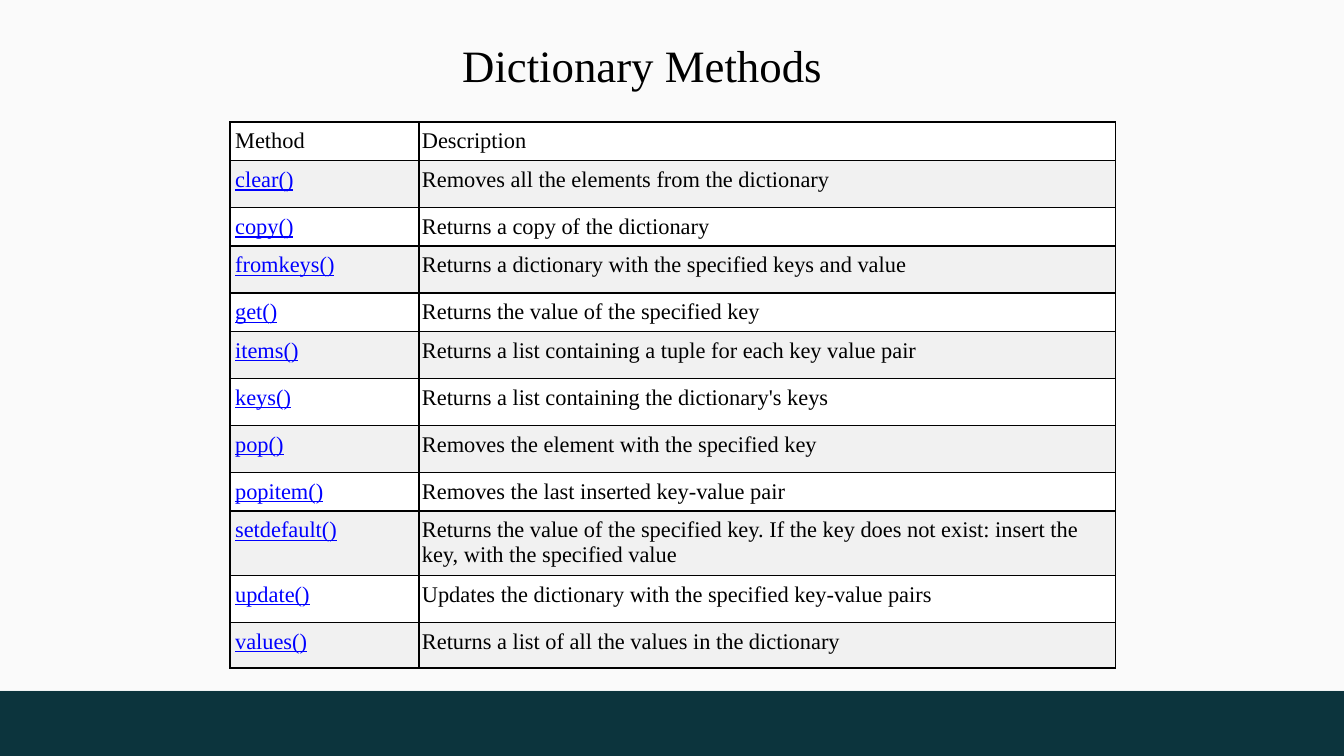
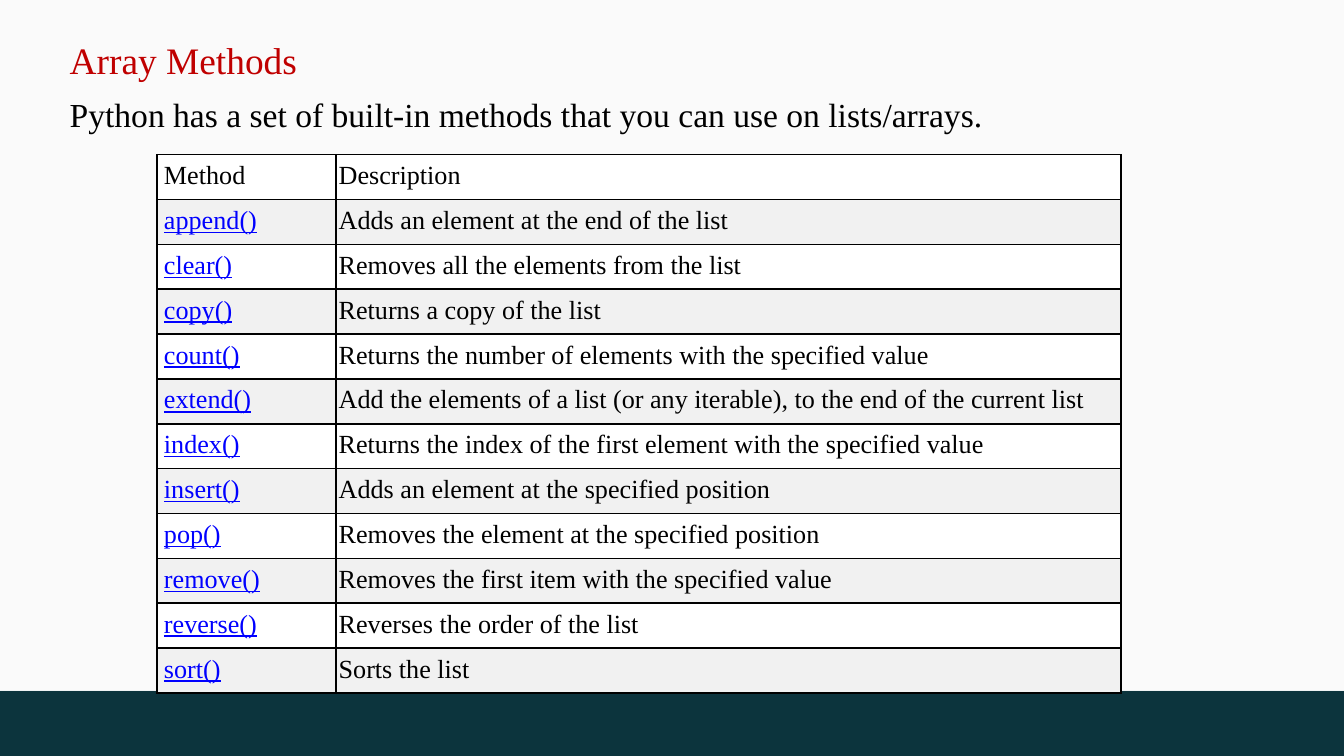
from lxml import etree
from pptx import Presentation
from pptx.dml.color import RGBColor
from pptx.enum import shapes, text
from pptx.oxml import ns
from pptx.util import Inches, Pt

FONT = "Times New Roman"
BLACK = RGBColor(0x00, 0x00, 0x00)
WHITE = RGBColor(0xFF, 0xFF, 0xFF)
STRIPE = RGBColor(0xF1, 0xF1, 0xF1)
LINK_BLUE = RGBColor(0x00, 0x00, 0xFF)
HEADING_RED = RGBColor(0xC0, 0x00, 0x00)
PAPER = RGBColor(0xFA, 0xFA, 0xFA)
FOOTER_TEAL = RGBColor(0x0C, 0x34, 0x3D)

WIDTH = 10
HEIGHT = WIDTH * 9 / 16
FOOTER_TOP = 5.14
BORDER = Pt(0.96)

HEADER = ("Method", "Description")
DICTIONARY_METHODS = [
    ("clear()", "Removes all the elements from the dictionary"),
    ("copy()", "Returns a copy of the dictionary"),
    ("fromkeys()", "Returns a dictionary with the specified keys and value"),
    ("get()", "Returns the value of the specified key"),
    ("items()", "Returns a list containing a tuple for each key value pair"),
    ("keys()", "Returns a list containing the dictionary's keys"),
    ("pop()", "Removes the element with the specified key"),
    ("popitem()", "Removes the last inserted key-value pair"),
    ("setdefault()", "Returns the value of the specified key. If the key does not exist: "
                     "insert the key, with the specified value"),
    ("update()", "Updates the dictionary with the specified key-value pairs"),
    ("values()", "Returns a list of all the values in the dictionary"),
]
DICTIONARY_ROWS = [0.22, 0.35, 0.22, 0.35, 0.22, 0.35, 0.35, 0.35, 0.22, 0.48, 0.35, 0.34]
ARRAY_METHODS = [
    ("append()", "Adds an element at the end of the list"),
    ("clear()", "Removes all the elements from the list"),
    ("copy()", "Returns a copy of the list"),
    ("count()", "Returns the number of elements with the specified value"),
    ("extend()", "Add the elements of a list (or any iterable), to the end of the current list"),
    ("index()", "Returns the index of the first element with the specified value"),
    ("insert()", "Adds an element at the specified position"),
    ("pop()", "Removes the element at the specified position"),
    ("remove()", "Removes the first item with the specified value"),
    ("reverse()", "Reverses the order of the list"),
    ("sort()", "Sorts the list"),
]
ARRAY_ROWS = [0.28] * (len(ARRAY_METHODS) + 1)


def style(p, size, color, underline=False):
    for r in p.runs:
        r.font.name = FONT
        r.font.size = Pt(size)
        r.font.color.rgb = color
        r.font.underline = underline


def add_band(s, top, height, color):
    sp = s.shapes.add_shape(shapes.MSO_SHAPE.RECTANGLE, 0, Inches(top),
                            Inches(WIDTH), Inches(height))
    sp.shadow.inherit = False
    sp.fill.solid()
    sp.fill.fore_color.rgb = color
    sp.line.fill.background()


def add_slide(prs):
    s = prs.slides.add_slide(prs.slide_layouts[6])
    add_band(s, FOOTER_TOP, HEIGHT - FOOTER_TOP, FOOTER_TEAL)
    add_band(s, 0, FOOTER_TOP, PAPER)
    return s


def add_text(s, box, lines, wrap=True):
    """Add a text box with one paragraph per (words, size, color) line."""
    tf = s.shapes.add_textbox(*map(Inches, box)).text_frame
    tf.word_wrap = wrap
    tf.auto_size = text.MSO_AUTO_SIZE.SHAPE_TO_FIT_TEXT
    tf.text = "\n".join(words for words, _, _ in lines)
    for i, (p, (_, size, color)) in enumerate(zip(tf.paragraphs, lines)):
        if i:
            p.space_before = Pt(6)
        style(p, size, color)


def add_borders(cell):
    tc_pr = cell._tc.get_or_add_tcPr()
    for side in ("lnL", "lnR", "lnT", "lnB"):
        ln = etree.SubElement(tc_pr, ns.qn(f"a:{side}"), w=str(BORDER))
        fill = etree.SubElement(ln, ns.qn("a:solidFill"))
        etree.SubElement(fill, ns.qn("a:srgbClr"), val=str(BLACK))


def add_method_table(s, box, methods, widths, heights, size, indent):
    """Add a striped table whose method names look like links."""
    rows = [HEADER] + methods
    table = s.shapes.add_table(len(rows), len(widths), *map(Inches, box)).table
    table.first_row = table.horz_banding = False
    for column, width in zip(table.columns, widths):
        column.width = Inches(width)
    for i, (row, height, words) in enumerate(zip(table.rows, heights, rows)):
        row.height = Inches(height)
        for j, cell in enumerate(row.cells):
            is_link = i > 0 and j == 0
            cell.text_frame.text = words[j]
            style(cell.text_frame.paragraphs[0], size,
                  LINK_BLUE if is_link else BLACK, is_link)
            cell.margin_left = Inches(0.02 if j else indent)
            cell.margin_right = Inches(0.02)
            cell.margin_top = cell.margin_bottom = Inches(0.05)
            add_borders(cell)
            cell.fill.solid()
            cell.fill.fore_color.rgb = STRIPE if i % 2 else WHITE


def add_dictionary_slide(prs):
    s = add_slide(prs)
    add_method_table(s, (1.71, 0.91, 6.58, 3.94), DICTIONARY_METHODS,
                     (1.41, 5.18), DICTIONARY_ROWS, 12, 0.04)
    add_text(s, (3.34, 0.23, 2.88, 0.5), [("Dictionary Methods", 24, BLACK)], wrap=False)


def add_array_slide(prs):
    s = add_slide(prs)
    add_text(s, (0.42, 0.23, 7.58, 0.82), [
        ("Array Methods", 20, HEADING_RED),
        ("Python has a set of built-in methods that you can use on lists/arrays.", 18, BLACK),
    ])
    add_method_table(s, (1.17, 1.15, 7.17, 3.35), ARRAY_METHODS,
                     (1.33, 5.84), ARRAY_ROWS, 14, 0.05)


def main():
    prs = Presentation()
    prs.slide_width, prs.slide_height = Inches(WIDTH), Inches(HEIGHT)
    add_dictionary_slide(prs)
    add_array_slide(prs)
    prs.save("out.pptx")


if __name__ == "__main__":
    main()
